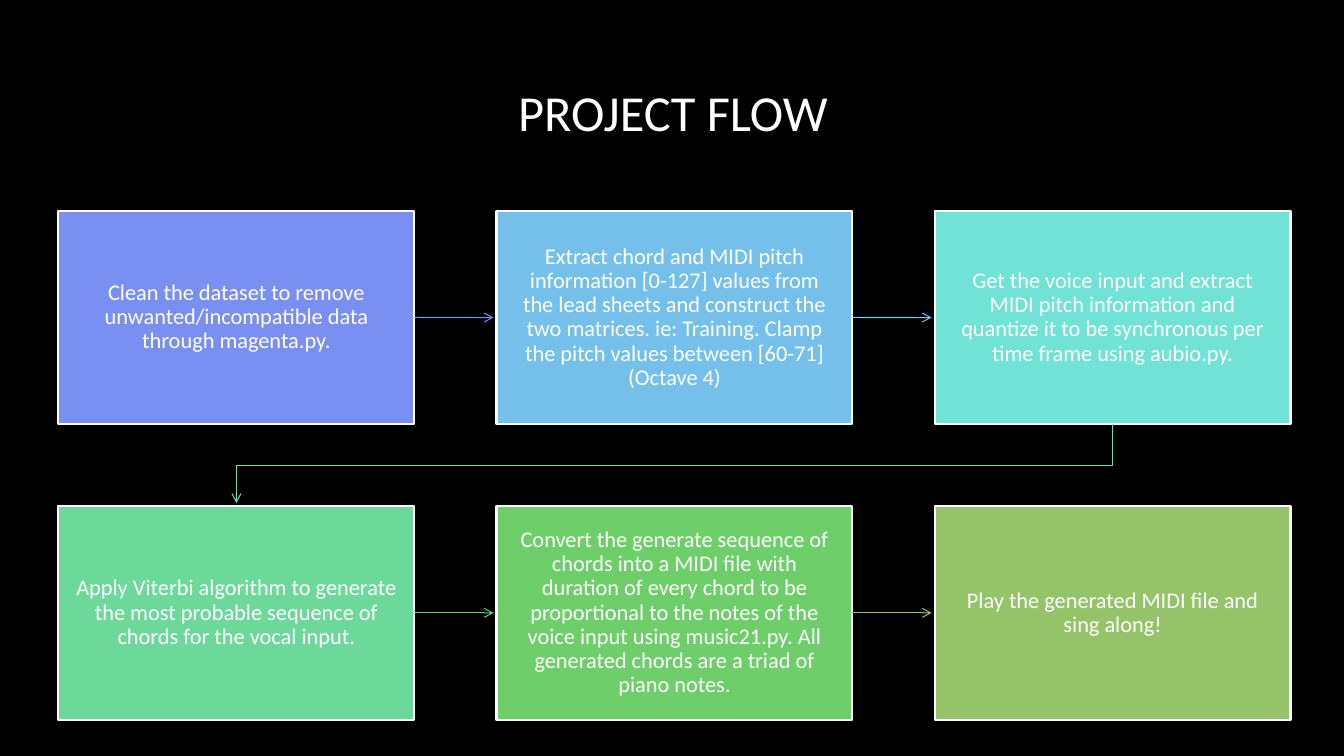
"""Build the project flow slide: six steps joined by arrows in two rows."""
from dataclasses import dataclass
from typing import Any

from lxml.etree import SubElement
from pptx import Presentation
from pptx.dml.color import RGBColor as Rgb
from pptx.dml.line import LineFormat
from pptx.enum.shapes import MSO_CONNECTOR as Link, MSO_SHAPE as Preset
from pptx.enum.text import MSO_ANCHOR as Anchor, PP_ALIGN as Align
from pptx.oxml.ns import qn
from pptx.shapes.autoshape import Shape
from pptx.shapes.shapetree import SlideShapes
from pptx.text.text import TextFrame
from pptx.util import Inches, Pt


@dataclass(frozen=True)
class Theme:
    background: str = "000000"
    foreground: str = "FFFFFF"
    font: str = "Calibri"
    title_size: float = 36
    step_size: float = 16
    border_width: float = 1.5
    arrow_width: float = 0.75


@dataclass(frozen=True)
class Grid:
    left: float = 0.58
    top: float = 2.09
    width: float = 3.53
    height: float = 2.12
    column_pitch: float = 8.69 / 2
    row_pitch: float = 2.93
    columns: int = 3
    arrow_gap: float = 0.03

    def corner(self, index: int) -> tuple[float, float]:
        row, column = divmod(index, self.columns)
        return self.left + column * self.column_pitch, self.top + row * self.row_pitch


@dataclass(frozen=True)
class Step:
    text: str
    fill: str
    arrow: str = ""


THEME = Theme()
GRID = Grid()
STEPS = [
    Step("Clean the dataset to remove unwanted/incompatible data through magenta.py.",
         "798FF2", "798FF2"),
    Step("Extract chord and MIDI pitch information [0-127] values from the lead sheets "
         "and construct the two matrices. ie: Training. Clamp the pitch values between "
         "[60-71] (Octave 4)", "74C0EB", "73CCE9"),
    Step("Get the voice input and extract MIDI pitch information and quantize it to be "
         "synchronous per time frame using aubio.py.", "70E2D6", "6EDEB8"),
    Step("Apply Viterbi algorithm to generate the most probable sequence of chords for "
         "the vocal input.", "6CD99B", "6BD174"),
    Step("Convert the generate sequence of chords into a MIDI file with duration of every "
         "chord to be proportional to the notes of the voice input using music21.py. All "
         "generated chords are a triad of piano notes.", "6DCE6A", "95C369"),
    Step("Play the generated MIDI file and sing along!", "95C369"),
]
STEP_FRAME = {"margin_left": Inches(0.17), "margin_right": Inches(0.17),
              "margin_top": Inches(0.18), "margin_bottom": Inches(0.18)}


def apply_format(target: Any, values: dict[str, Any]) -> None:
    """Set each named attribute on the target."""
    for name, value in values.items():
        setattr(target, name, value)


def write_text(frame: TextFrame, text: str, size: float, spacing: float = 1.0) -> None:
    """Write one centred paragraph in the theme font."""
    apply_format(frame, {"word_wrap": True, "vertical_anchor": Anchor.MIDDLE})
    paragraph = frame.paragraphs[0]
    apply_format(paragraph, {"alignment": Align.CENTER, "line_spacing": spacing})
    run = paragraph.add_run()
    run.text = text
    apply_format(run.font, {"name": THEME.font, "size": Pt(size)})
    run.font.color.rgb = Rgb.from_string(THEME.foreground)


def set_line(line: LineFormat, color: str, width: float) -> None:
    """Colour a line and set its width in points."""
    line.color.rgb = Rgb.from_string(color)
    line.width = Pt(width)


def draw_step(shapes: SlideShapes, index: int, step: Step) -> Shape:
    """Draw a step box at its place in the grid."""
    x, y = GRID.corner(index)
    box = shapes.add_shape(Preset.RECTANGLE, Inches(x), Inches(y),
                           Inches(GRID.width), Inches(GRID.height))
    box.shadow.inherit = False
    box.fill.solid()
    box.fill.fore_color.rgb = Rgb.from_string(step.fill)
    set_line(box.line, THEME.foreground, THEME.border_width)
    apply_format(box.text_frame, STEP_FRAME)
    write_text(box.text_frame, step.text, THEME.step_size, 0.9)
    return box


def draw_straight(shapes: SlideShapes, index: int, box: Shape) -> Any:
    """Draw the arrow from a box towards its right neighbour."""
    x, y = GRID.corner(index)
    middle = Inches(y + GRID.height / 2)
    arrow = shapes.add_connector(Link.STRAIGHT, Inches(x + GRID.width), middle,
                                 Inches(x + GRID.column_pitch - GRID.arrow_gap), middle)
    arrow.begin_connect(box, 3)
    SubElement(arrow._element.spPr, qn("a:effectLst"))
    return arrow


def draw_return(shapes: SlideShapes, index: int) -> Any:
    """Draw the bent arrow from the end of a row to the start of the next."""
    x, y = GRID.corner(index)
    next_x, next_y = GRID.corner(index + 1)
    start_x, end_x = (left + GRID.width / 2 for left in (x, next_x))
    bottom = y + GRID.height
    bend = (bottom + next_y) / 2
    corners = [(start_x, bend), (end_x, bend), (end_x, next_y - GRID.arrow_gap)]
    builder = shapes.build_freeform(Inches(start_x), Inches(bottom))
    builder.add_line_segments([(Inches(a), Inches(b)) for a, b in corners], close=False)
    arrow = builder.convert_to_shape()
    arrow.fill.background()
    arrow.shadow.inherit = False
    return arrow


def draw_arrow(shapes: SlideShapes, index: int, box: Shape, color: str) -> None:
    """Draw the arrow to the next step with an open head."""
    row_ends = (index + 1) % GRID.columns == 0
    arrow = draw_return(shapes, index) if row_ends else draw_straight(shapes, index, box)
    set_line(arrow.line, color, THEME.arrow_width)
    SubElement(arrow._element.spPr.find(qn("a:ln")), qn("a:tailEnd"), type="arrow")


def main() -> None:
    """Build and save the slide."""
    deck = Presentation()
    apply_format(deck, {"slide_width": Inches(13.33), "slide_height": Inches(7.5)})
    slide = deck.slides.add_slide(deck.slide_layouts[6])
    slide.background.fill.solid()
    slide.background.fill.fore_color.rgb = Rgb.from_string(THEME.background)
    title = slide.shapes.add_textbox(Inches(0.75), Inches(0.67), Inches(11.85), Inches(0.87))
    write_text(title.text_frame, "PROJECT FLOW", THEME.title_size)
    for index, step in enumerate(STEPS):
        box = draw_step(slide.shapes, index, step)
        if step.arrow:
            draw_arrow(slide.shapes, index, box, step.arrow)
    deck.save("out.pptx")


if __name__ == "__main__":
    main()
